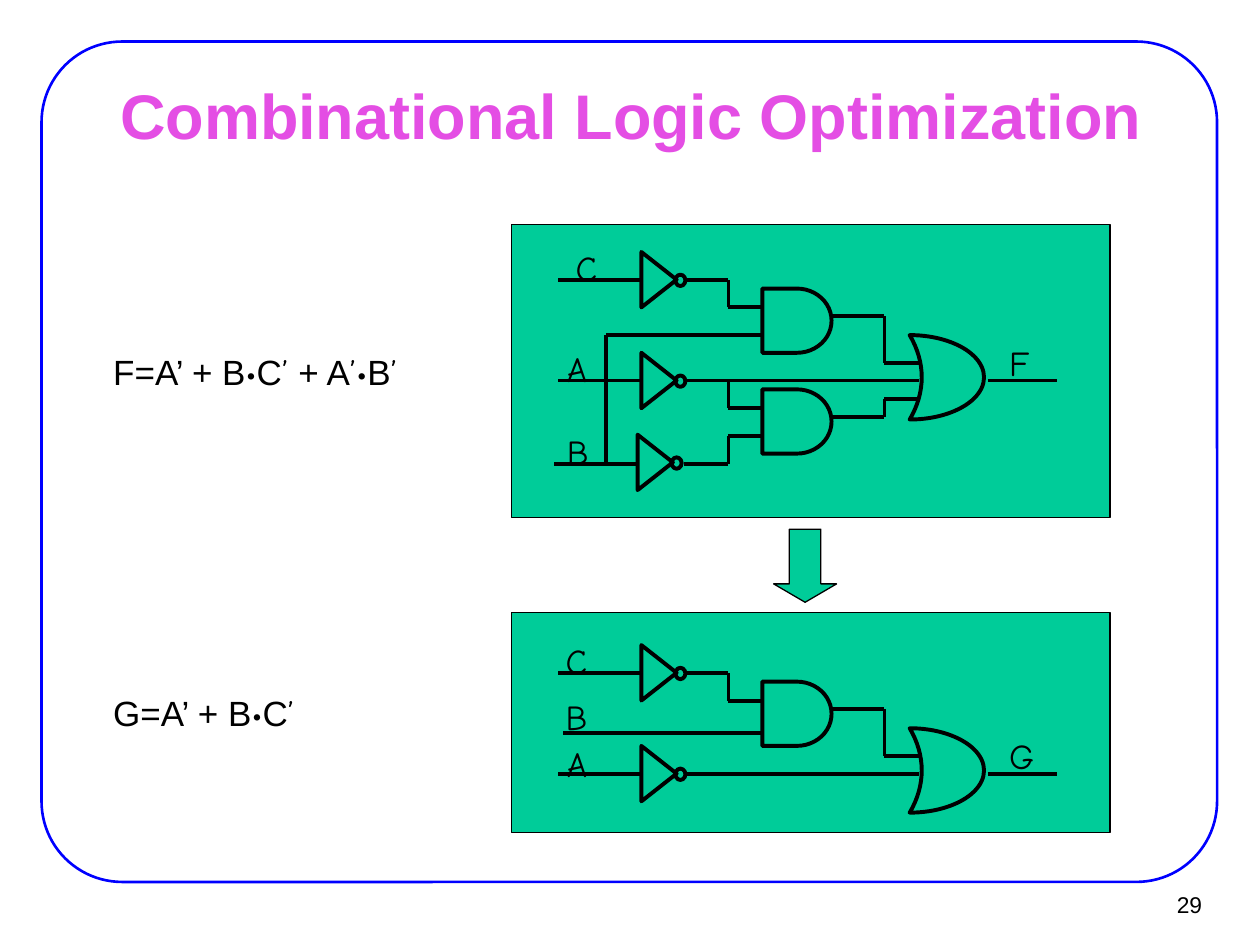
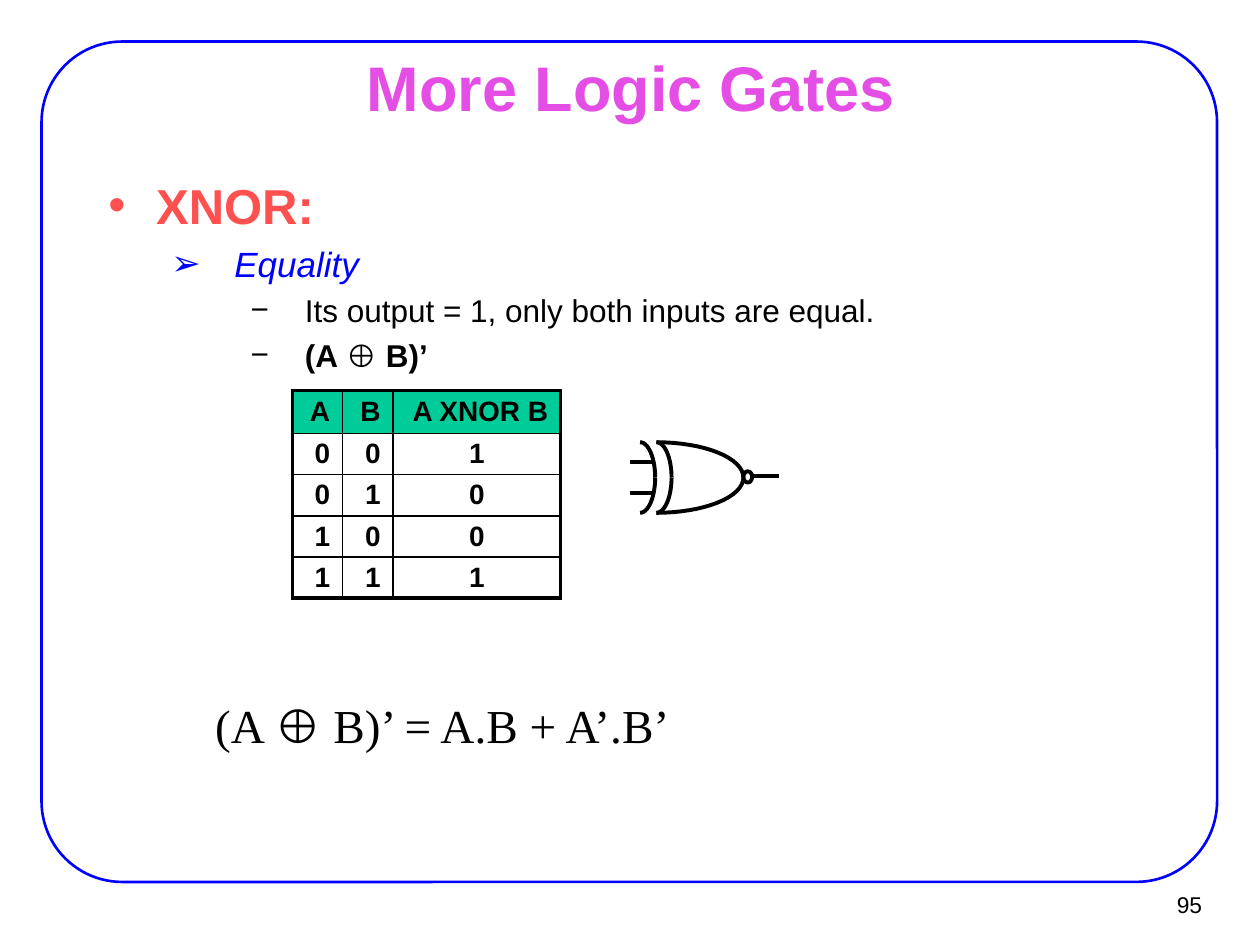
from dataclasses import dataclass
from itertools import cycle
from math import cos, pi, sin
from typing import NamedTuple

from lxml.etree import SubElement
from pptx import Presentation
from pptx.dml.color import RGBColor
from pptx.enum.shapes import MSO_CONNECTOR as Link, MSO_SHAPE as Kind
from pptx.enum.text import MSO_ANCHOR as Anchor, PP_ALIGN as Align
from pptx.oxml import parse_xml
from pptx.oxml.ns import nsdecls, qn
from pptx.util import Emu, Pt

PX = 9144
HUES = {
    "ink": "000000",
    "frame": "0000FF",
    "title": "E44EE4",
    "green": "00CC99",
    "red": "FF5050",
}
COMIC = "Comic Neue"
THICK = 2.25


class Box(NamedTuple):
    x: int
    y: int
    w: int
    h: int


class Wire(NamedTuple):
    x1: int
    y1: int
    x2: int
    y2: int


class Label(NamedTuple):
    text: str
    x: int
    y: int


@dataclass
class Circuit:
    dy: int
    panel: Box
    labels: list[Label]
    wires: list[Wire]
    nots: list[tuple[int, int]]
    ands: list[tuple[int, int]]


@dataclass
class Point:
    bits: list[str]
    size: int
    hue: str
    mark: str
    left: int
    hang: int
    bolds: tuple[bool, ...] = (False,)
    slant: bool = False


BASE_WIRES = [
    Wire(443, 222, 509, 222), Wire(443, 302, 509, 302),
    Wire(543, 222, 578, 222), Wire(578, 244, 578, 222),
    Wire(578, 244, 605, 244), Wire(543, 302, 578, 302),
    Wire(578, 302, 729, 302), Wire(660, 251, 702, 251),
    Wire(702, 288, 702, 251), Wire(702, 288, 729, 288),
    Wire(784, 302, 839, 302),
]
BASE_NOTS = [(501, 208), (501, 288)]
BASE_ANDS = [(605, 229)]

FULL = Circuit(
    dy=0,
    panel=Box(406, 178, 475, 233),
    labels=[Label("A", 440, 271), Label("B", 440, 337),
            Label("C", 447, 191), Label("F", 791, 266)],
    wires=[
        Wire(578, 324, 578, 302), Wire(440, 368, 506, 368),
        Wire(578, 324, 605, 324), Wire(578, 346, 605, 346),
        Wire(543, 368, 578, 368), Wire(578, 368, 578, 346),
        Wire(481, 368, 481, 266), Wire(481, 266, 605, 266),
        Wire(660, 331, 702, 331), Wire(702, 331, 702, 317),
        Wire(702, 317, 729, 317),
    ],
    nots=[(498, 353)],
    ands=[(605, 309)],
)
SMALL = Circuit(
    dy=312,
    panel=Box(406, 486, 475, 175),
    labels=[Label("A", 440, 272), Label("B", 439, 235),
            Label("C", 439, 191), Label("G", 791, 266)],
    wires=[Wire(447, 270, 605, 270)],
    nots=[],
    ands=[],
)
SUMS = [
    (273, ["F=A’ + B", "•", "C", "’", " + A", "’•", "B", "’"]),
    (544, ["G=A’ + B", "•", "C", "’"]),
]
POINTS = [
    Point(["XNOR:"], 28, "red", "•", 38, 38, bolds=(True,)),
    Point(["Equality"], 20, "frame", "➢", 100, 50, slant=True),
    Point(["Its output = 1, only both inputs are equal."],
          18, "ink", "−", 156, 43),
    Point(["(A ", "⊕", " B)’"], 18, "ink", "−", 156, 43,
          bolds=(True, False)),
]
TRUTH = [("A", "B", "A XNOR B")] + [
    (str(a), str(b), str(int(a == b))) for a in (0, 1) for b in (0, 1)
]


def px(n: float) -> Emu:
    return Emu(round(n * PX))


def tint(name: str) -> RGBColor:
    return RGBColor.from_string(HUES[name])


def write(par, text: str, *, font: str = "Arial", size: float = 20,
          hue: str = "ink", bold: bool = False, slant: bool = False,
          align=Align.LEFT) -> None:
    par.alignment = align
    run = par.add_run()
    run.text = text
    face = run.font
    face.name, face.size = font, Pt(size)
    face.bold, face.italic = bold, slant
    face.color.rgb = tint(hue)


def indent(par, left: int, hang: int = 0, mark: str = "") -> None:
    props = par._p.get_or_add_pPr()
    props.set("marL", str(px(left)))
    props.set("indent", str(px(-hang)))
    if mark:
        SubElement(props, qn("a:buFont")).set("typeface", "Arial")
        SubElement(props, qn("a:buChar")).set("char", mark)


def area(host, box: Box, pad: tuple[int, int] = (10, 5), anchor=Anchor.TOP):
    frame = host.add_textbox(*map(px, box)).text_frame
    frame.word_wrap = True
    frame.vertical_anchor = anchor
    frame.margin_left = frame.margin_right = px(pad[0])
    frame.margin_top = frame.margin_bottom = px(pad[1])
    return frame


def style(item, fill: str = "", line: str = "ink", width: float = THICK):
    item.shadow.inherit = False
    if fill:
        item.fill.solid()
        item.fill.fore_color.rgb = tint(fill)
    else:
        item.fill.background()
    item.line.color.rgb = tint(line)
    item.line.width = Pt(width)
    return item


def shape(host, kind, box: Box, adj: tuple[float, ...] = (), **look):
    item = style(host.add_shape(kind, *map(px, box)), **look)
    for i, value in enumerate(adj):
        item.adjustments[i] = value
    return item


def draw(host, wire: Wire, dy: int = 0) -> None:
    x1, y1, x2, y2 = wire
    item = host.add_connector(
        Link.STRAIGHT, px(x1), px(y1 + dy), px(x2), px(y2 + dy))
    item.line.color.rgb = tint("ink")
    item.line.width = Pt(2 if x1 == x2 else THICK)
    SubElement(item._element.spPr, qn("a:effectLst"))


def invert(host, x: int, y: int) -> None:
    group = host.add_group_shape().shapes
    shape(group, Kind.ISOSCELES_TRIANGLE, Box(x, y, 44, 28)).rotation = 90
    shape(group, Kind.OVAL, Box(x + 35, y + 10, 8, 9))


def build(host, plan: Circuit) -> None:
    dy = plan.dy
    shape(host, Kind.RECTANGLE, plan.panel, fill="green", width=0.75)
    for wire in BASE_WIRES + plan.wires:
        draw(host, wire, dy)
    for x, y in BASE_NOTS + plan.nots:
        invert(host, x, y + dy)
    for x, y in BASE_ANDS + plan.ands:
        shape(host, Kind.FLOWCHART_DELAY, Box(x, y + dy, 55, 51))
    moon = shape(host, Kind.MOON, Box(722, 266 + dy, 59, 67), (0.838,))
    moon._element.spPr.xfrm.set("flipH", "1")
    for text, x, y in plan.labels:
        frame = area(host, Box(x, y + dy, 41, 43))
        write(frame.paragraphs[0], text, font=COMIC)


def bow(host, x: int, reach: int) -> None:
    for side in (-1, 1):
        turns = [i * pi / 32 for i in range(17)]
        dots = [(px(x + reach * cos(t)), px(379 + side * 28 * sin(t)))
                for t in turns]
        path = host.build_freeform(*dots[0])
        path.add_line_segments(dots[1:], close=False)
        style(path.convert_to_shape())


def gate(host) -> None:
    for y in (367, 391):
        draw(host, Wire(500, y, 519, y))
    for x, reach in ((508, 12), (521, 12), (521, 69)):
        bow(host, x, reach)
    shape(host, Kind.OVAL, Box(590, 374, 7, 9))
    draw(host, Wire(597, 378, 618, 378))


def edge(cell, widths: dict[str, float]) -> None:
    props = cell._tc.get_or_add_tcPr()
    for i, (side, width) in enumerate(widths.items()):
        props.insert(i, parse_xml(
            f'<a:ln{side} {nsdecls("a")} w="{Pt(width)}"><a:solidFill>'
            f'<a:srgbClr val="{HUES["ink"]}"/></a:solidFill></a:ln{side}>'))


def table(host) -> None:
    cols, tall = (40, 40, 133), (34, 32, 32, 32, 32)
    box = Box(232, 310, sum(cols), sum(tall))
    grid = host.add_table(len(tall), len(cols), *map(px, box)).table
    grid.first_row = grid.horz_banding = False
    for col, width in zip(grid.columns, cols):
        col.width = px(width)
    for r, row in enumerate(TRUTH):
        grid.rows[r].height = px(tall[r])
        for c, text in enumerate(row):
            cell = grid.cell(r, c)
            cell.margin_top = cell.margin_bottom = px(3)
            cell.vertical_anchor = Anchor.MIDDLE
            if r:
                cell.fill.background()
            else:
                cell.fill.solid()
                cell.fill.fore_color.rgb = tint("green")
            rims = {"L": c == 0, "R": c == 2, "T": r == 0, "B": r == 4}
            edge(cell, {k: THICK if rim else 1 for k, rim in rims.items()})
            align = Align.CENTER if r and c == 2 else Align.RIGHT
            write(cell.text_frame.paragraphs[0], text, size=16, bold=True,
                  align=align)


def start(deck, title: str, top: int, page: str):
    host = deck.slides.add_slide(deck.slide_layouts[6]).shapes
    shape(host, Kind.ROUNDED_RECTANGLE, Box(33, 33, 933, 667), (0.096,),
          line="frame", width=1.5)
    foot = area(host, Box(902, 699, 61, 37), (9, 4), Anchor.MIDDLE)
    write(foot.paragraphs[0], page, size=13, align=Align.RIGHT)
    head = area(host, Box(76, top, 850, 49), (11, 6), Anchor.MIDDLE)
    write(head.paragraphs[0], title, size=36, hue="title", bold=True,
          align=Align.CENTER)
    return host


def reduce(deck) -> None:
    host = start(deck, "Combinational Logic Optimization", 66, "29")
    build(host, FULL)
    build(host.add_group_shape().shapes, SMALL)
    shape(host, Kind.DOWN_ARROW, Box(614, 420, 50, 58), (0.5, 0.292),
          fill="green", width=0.75)
    for y, bits in SUMS:
        par = area(host, Box(-20, y, 405, 43)).paragraphs[0]
        indent(par, 100)
        for bit, font in zip(bits, cycle(("Arial", COMIC))):
            write(par, bit, font=font)


def equal(deck) -> None:
    host = start(deck, "More Logic Gates", 44, "95")
    body = area(host, Box(75, 133, 850, 508), (11, 6))
    for i, point in enumerate(POINTS):
        par = body.add_paragraph() if i else body.paragraphs[0]
        if i:
            par.space_before = Pt(round(point.size * 0.23, 1))
        indent(par, point.left, point.hang, point.mark)
        for bit, bold in zip(point.bits, cycle(point.bolds)):
            write(par, bit, size=point.size, hue=point.hue, bold=bold,
                  slant=point.slant)
    table(host)
    gate(host)
    par = area(host, Box(161, 548, 394, 100)).paragraphs[0]
    for bit, bold in zip(["(A ", "⊕", " B)’ = A.B + A’.B’"],
                         cycle((False, True))):
        write(par, bit, font="Times New Roman", size=27, bold=bold)


def main() -> None:
    deck = Presentation()
    deck.slide_width, deck.slide_height = px(1000), px(750)
    reduce(deck)
    equal(deck)
    deck.save("out.pptx")


if __name__ == "__main__":
    main()
